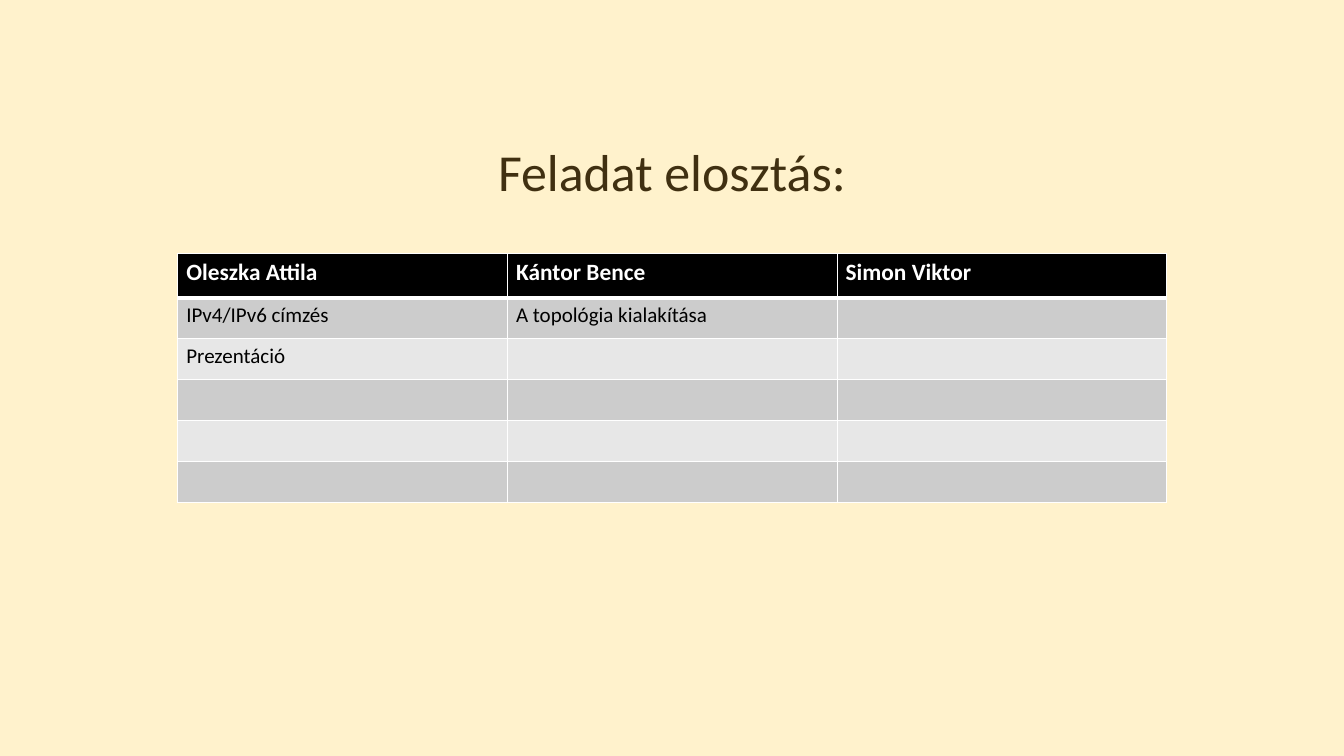
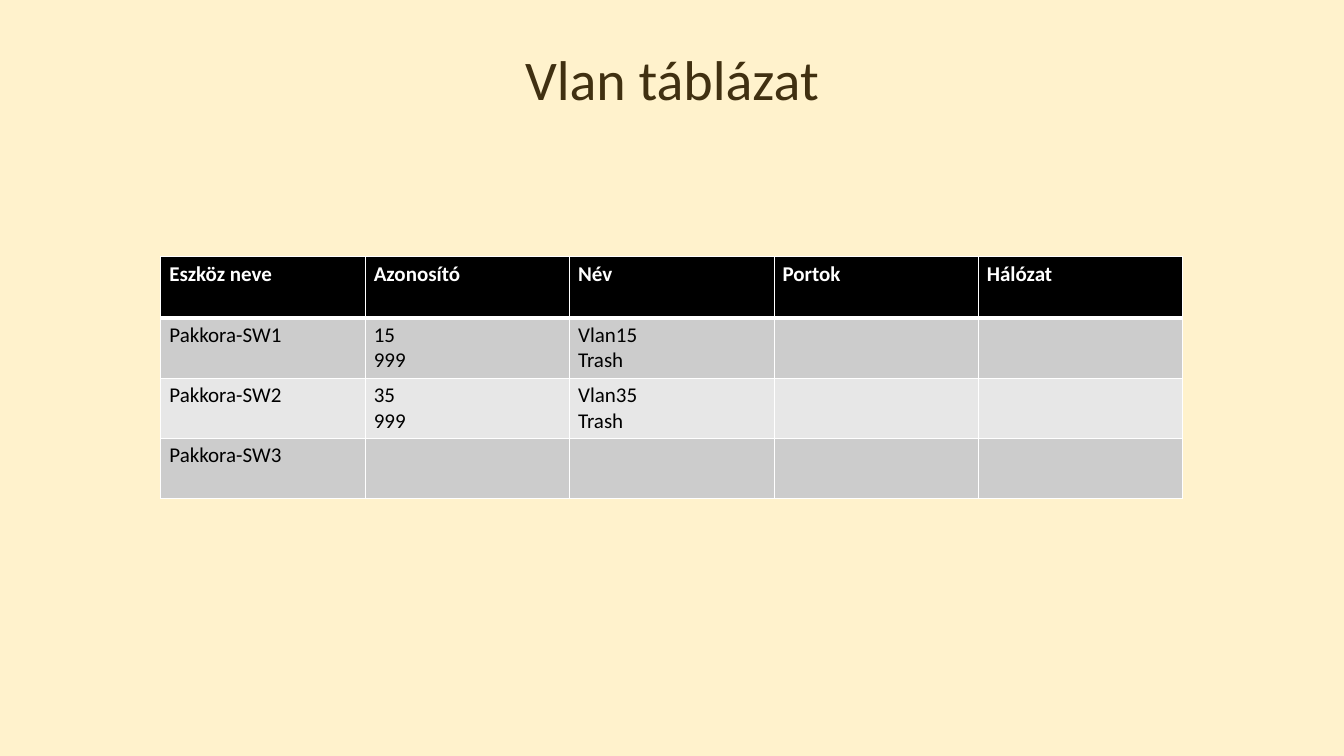
from lxml.etree import SubElement
from pptx import Presentation
from pptx.dml.color import RGBColor
from pptx.enum.text import MSO_ANCHOR, MSO_AUTO_SIZE, PP_ALIGN
from pptx.oxml.ns import qn
from pptx.util import Emu, Pt

CREAM = RGBColor(0xFF, 0xF2, 0xCC)
BROWN = RGBColor(0x40, 0x30, 0x11)
BLACK = RGBColor(0x00, 0x00, 0x00)
WHITE = RGBColor(0xFF, 0xFF, 0xFF)
BANDS = (RGBColor(0xCC, 0xCC, 0xCC), RGBColor(0xE7, 0xE7, 0xE7))
FONT = "Calibri"
PX_PER_INCH = 84
TITLE_ONLY = 5


def px(n):
    return Emu(round(n * 914400 / PX_PER_INCH))


class Deck:
    def __init__(self):
        self.prs = Presentation()
        self.prs.slide_width = px(1344)
        self.prs.slide_height = px(756)
        fill = self.prs.slide_master.background.fill
        fill.solid()
        fill.fore_color.rgb = CREAM

    def add_slide(self):
        self.s = self.prs.slides.add_slide(self.prs.slide_layouts[TITLE_ONLY])

    def run(self, p, text, size, color, bold=False):
        r = p.add_run()
        r.text = text
        r.font.name = FONT
        r.font.size = Pt(size)
        r.font.bold = bold
        r.font.color.rgb = color

    def title(self, text, box, size, leading):
        sp = self.s.shapes.title
        sp.left, sp.top, sp.width, sp.height = map(px, box)
        tf = sp.text_frame
        tf.margin_left = tf.margin_top = tf.margin_right = tf.margin_bottom = 0
        tf.auto_size = MSO_AUTO_SIZE.NONE
        tf.vertical_anchor = MSO_ANCHOR.TOP
        tf.word_wrap = False
        p = tf.paragraphs[0]
        p.alignment = PP_ALIGN.CENTER
        p.line_spacing = Pt(leading)
        self.run(p, text, size, BROWN)

    def borders(self, cell, top, bottom):
        props = cell._tc.get_or_add_tcPr()
        for side, width in (("L", 1), ("R", 1), ("T", top), ("B", bottom)):
            ln = SubElement(props, qn(f"a:ln{side}"), w=str(Pt(width)))
            SubElement(SubElement(ln, qn("a:solidFill")), qn("a:srgbClr"), val=str(WHITE))

    def cell(self, cell, text, row, size):
        header = row == 0
        self.borders(cell, 3 if row == 1 else 1, 3 if header else 1)
        cell.fill.solid()
        cell.fill.fore_color.rgb = BLACK if header else BANDS[(row - 1) % 2]
        tf = cell.text_frame
        for i, line in enumerate(text.split("\n") if text else []):
            p = tf.add_paragraph() if i else tf.paragraphs[0]
            self.run(p, line, size, WHITE if header else BLACK, header)

    def table(self, rows, box, header_height, header_size, body_size=18):
        width, height = box[2:]
        count, columns = len(rows), len(rows[0])
        table = self.s.shapes.add_table(count, columns, *map(px, box)).table
        table.horz_banding = False
        for column in table.columns:
            column.width = px(width / columns)
        body_height = (height - header_height) / (count - 1)
        for i, texts in enumerate(rows):
            table.rows[i].height = px(body_height if i else header_height)
            for j, text in enumerate(texts):
                self.cell(table.cell(i, j), text, i, body_size if i else header_size)


def main():
    deck = Deck()

    deck.add_slide()
    deck.title("Feladat elosztás:", (316, 137, 712, 66), 44.5, 55.5)
    tasks = [
        ("Oleszka Attila", "Kántor Bence", "Simon Viktor"),
        ("IPv4/IPv6 címzés", "A topológia kialakítása", ""),
        ("Prezentáció", "", ""),
    ] + [("", "", "")] * 3
    deck.table(tasks, (178, 254, 989, 249), 44, 20)

    deck.add_slide()
    deck.title("Vlan táblázat", (365, 80, 614, 33), 48, 27.5)
    vlans = [
        ("Eszköz neve", "Azonosító", "Név", "Portok", "Hálózat"),
        ("Pakkora-SW1", "15\n999", "Vlan15\nTrash", "", ""),
        ("Pakkora-SW2", "35\n999", "Vlan35\nTrash", "", ""),
        ("Pakkora-SW3", "", "", "", ""),
    ]
    deck.table(vlans, (161, 257, 1022, 242), 61, 18)

    deck.prs.save("out.pptx")


if __name__ == "__main__":
    main()
